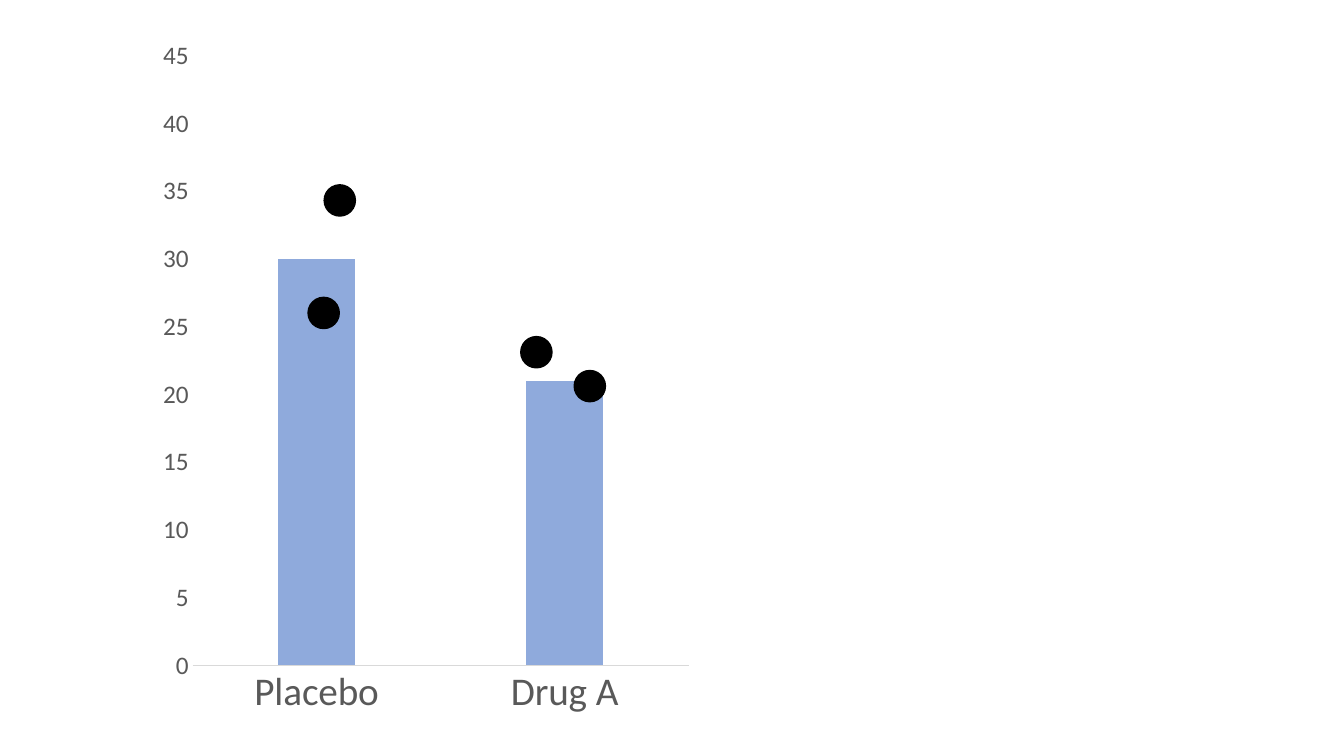
from lxml.etree import SubElement
from pptx import Presentation
from pptx.chart.data import CategoryChartData
from pptx.dml.color import RGBColor
from pptx.enum.chart import XL_CHART_TYPE, XL_TICK_MARK
from pptx.enum.shapes import MSO_SHAPE
from pptx.oxml.ns import qn
from pptx.util import Inches, Pt

CHART_LEFT, CHART_TOP, CHART_WIDTH, CHART_HEIGHT = 1.5, 0.25, 5.44, 7
PLOT_LEFT, PLOT_TOP, PLOT_WIDTH, PLOT_HEIGHT = 1.91, 0.55, 4.92, 6.05
AXIS_MAXIMUM = 45
DOT_SIZE = 0.31
MEANS = {"Placebo": 30, "Drug A": 21}
PATIENTS = {
    "Placebo": [(0.23, 34.3), (0.07, 26)],
    "Drug A": [(-0.28, 23.1), (0.25, 20.6)],
}


def color(hex_code):
    return RGBColor.from_string(hex_code)


def style_font(font, size, hex_code):
    font.name = "Calibri"
    font.size = Pt(size)
    font.color.rgb = color(hex_code)


def style_axis(axis, size):
    axis.major_tick_mark = XL_TICK_MARK.NONE
    axis.minor_tick_mark = XL_TICK_MARK.NONE
    axis.has_major_gridlines = False
    style_font(axis.tick_labels.font, size, "595959")


def fix_plot_area(chart):
    plot_area = chart.plots[0]._element.getparent()
    layout = plot_area.find(qn("c:layout"))
    if layout is None:
        layout = SubElement(plot_area, qn("c:layout"))
        plot_area.insert(0, layout)
    manual = SubElement(layout, qn("c:manualLayout"))
    settings = {
        "layoutTarget": "inner",
        "xMode": "edge",
        "yMode": "edge",
        "x": (PLOT_LEFT - CHART_LEFT) / CHART_WIDTH,
        "y": (PLOT_TOP - CHART_TOP) / CHART_HEIGHT,
        "w": PLOT_WIDTH / CHART_WIDTH,
        "h": PLOT_HEIGHT / CHART_HEIGHT,
    }
    for name, value in settings.items():
        SubElement(manual, qn(f"c:{name}")).set("val", str(value))


def add_means_chart(page):
    data = CategoryChartData()
    data.categories = list(MEANS)
    data.add_series("Series 1", list(MEANS.values()))
    frame = page.shapes.add_chart(
        XL_CHART_TYPE.COLUMN_CLUSTERED,
        Inches(CHART_LEFT), Inches(CHART_TOP),
        Inches(CHART_WIDTH), Inches(CHART_HEIGHT), data)
    chart = frame.chart
    chart.has_title = False
    chart.has_legend = False
    style_font(chart.font, 28, "000000")

    plot = chart.plots[0]
    plot.vary_by_categories = False
    plot.gap_width = 219
    plot.overlap = -27
    fill = plot.series[0].format.fill
    fill.solid()
    fill.fore_color.rgb = color("8FAADC")

    style_axis(chart.category_axis, 28)
    baseline = chart.category_axis.format.line
    baseline.color.rgb = color("D9D9D9")
    baseline.width = Pt(0.75)

    values = chart.value_axis
    style_axis(values, 18)
    values.format.line.fill.background()
    values.minimum_scale = 0
    values.maximum_scale = AXIS_MAXIMUM
    values.major_unit = 5
    fix_plot_area(chart)


def add_dot(group, center, value):
    middle = PLOT_TOP + PLOT_HEIGHT * (1 - value / AXIS_MAXIMUM)
    dot = group.shapes.add_shape(
        MSO_SHAPE.OVAL,
        Inches(center - DOT_SIZE / 2), Inches(middle - DOT_SIZE / 2),
        Inches(DOT_SIZE), Inches(DOT_SIZE))
    dot.shadow.inherit = False
    dot.fill.solid()
    dot.fill.fore_color.rgb = color("000000")
    dot.line.color.rgb = color("000000")
    dot.line.width = Pt(1)


def add_patient_dots(page):
    column_width = PLOT_WIDTH / len(MEANS)
    for column, treatment in enumerate(MEANS):
        group = page.shapes.add_group_shape()
        column_center = PLOT_LEFT + (column + 0.5) * column_width
        for offset, value in PATIENTS[treatment]:
            add_dot(group, column_center + offset, value)


def main():
    deck = Presentation()
    deck.slide_width = Inches(13.33)
    deck.slide_height = Inches(7.5)
    page = deck.slides.add_slide(deck.slide_layouts[6])
    add_means_chart(page)
    add_patient_dots(page)
    deck.save("out.pptx")


if __name__ == "__main__":
    main()
